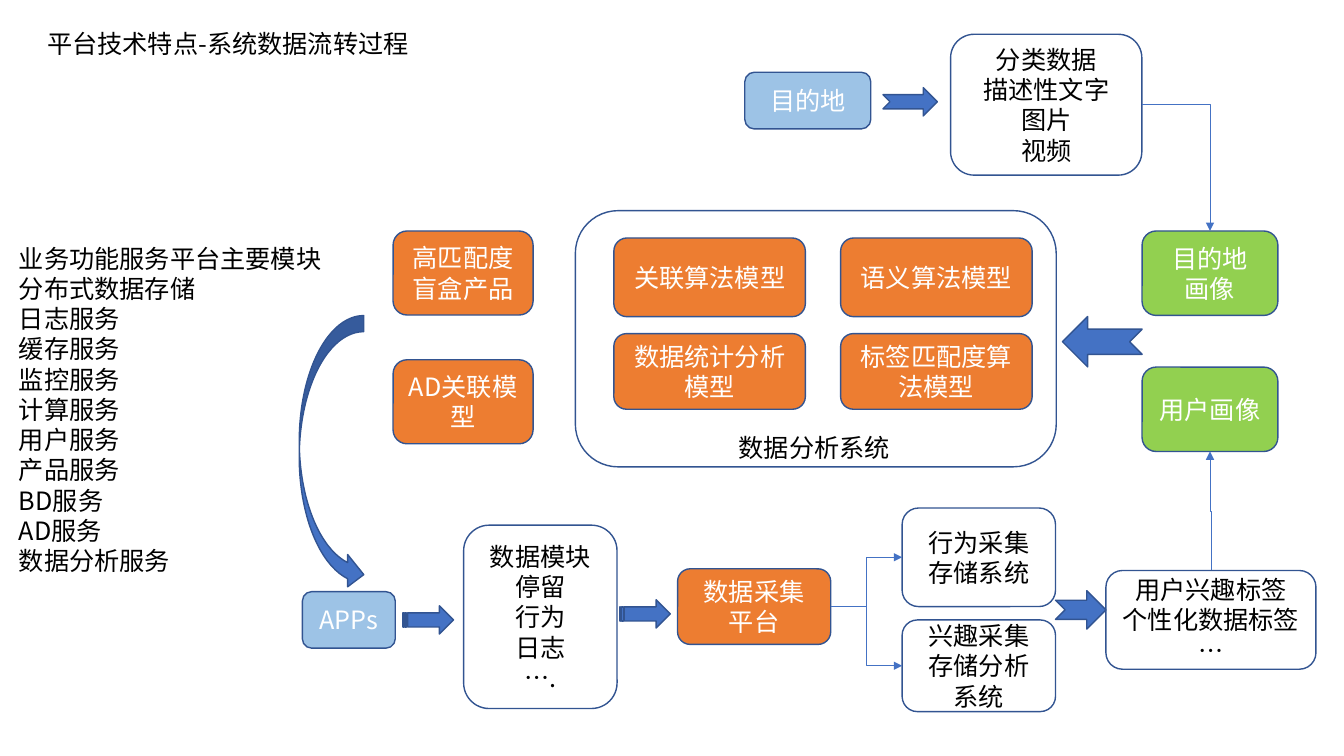
from pptx import Presentation
from pptx.dml.color import RGBColor
from pptx.enum import shapes as sh, text as tx
from pptx.oxml import ns, xmlchemy as xc
from pptx.util import Pt

HUE = {"sky": "9DC3E6", "orange": "ED7D31", "green": "92D050",
       "blue": "4472C4", "edge": "325491", "white": "FFFFFF", "black": "000000"}
FONT = "Noto Sans CJK SC"
SIZE = 18

# Plain text: words, left, top, width, height
NOTES = [
    ("平台技术特点-系统数据流转过程", 26.6, 16.6, 279.4, 29),
    ("业务功能服务平台主要模块\n分布式数据存储\n日志服务\n缓存服务\n监控服务\n计算服务\n"
     "用户服务\n产品服务\nBD服务\nAD服务\n数据分析服务", 6.5, 170, 232.6, 247),
    ("数据分析系统", 520.6, 305.3, 123.8, 29),
]

# Boxes: name -> words, fill, left, top, width, height
BOXES = {
    "system": ("", None, 411, 150.5, 343.5, 183),
    "apps": ("APPs", "sky", 216, 422.6, 66.4, 40.4),
    "data": ("数据模块\n停留\n行为\n日志\n….", None, 331.2, 375.1, 109.6, 131),
    "collect": ("数据采集平台", "orange", 484, 406.3, 109.4, 54),
    "action": ("行为采集存储系统", None, 644.4, 362.9, 109.6, 70.4),
    "taste": ("兴趣采集存储分析系统", None, 644.4, 442.8, 109.6, 65.5),
    "tags": ("用户兴趣标签\n个性化数据标签\n…", None, 790, 407.5, 150, 70.5),
    "place": ("目的地", "sky", 532, 51.6, 90, 40.5),
    "media": ("分类数据\n描述性文字\n图片\n视频", None, 679, 24.5, 136.6, 100.6),
}

# Model grid: rows share a top and a height
MODELS = [(170, 56.2, ["关联算法模型", "语义算法模型"]),
          (238.3, 54, ["数据统计分析模型", "标签匹配度算法模型"])]
MODEL_X, MODEL_STEP, MODEL_W = 438.5, 162, 136.8

# Stacks: left, top, step, width, height, fill, items
STACKS = [
    (280.8, 165, 92, 100, 60, "orange",
     [("match", "高匹配度盲盒产品"), ("advert", "AD关联模型")]),
    (815.8, 165, 97.2, 97, 60.3, "green",
     [("spot", "目的地\n画像"), ("user", "用户画像")]),
]

# Block arrows: preset, left, top, width, height, turn
ARROWS = [
    ("STRIPED_RIGHT_ARROW", 288, 432.7, 36, 20.2, 0),
    ("STRIPED_RIGHT_ARROW", 442.8, 428.4, 36, 20.2, 0),
    ("NOTCHED_RIGHT_ARROW", 754, 421.9, 36, 27.4, 0),
    ("NOTCHED_RIGHT_ARROW", 630.7, 62.6, 38.9, 20.2, 0),
    ("NOTCHED_RIGHT_ARROW", 758.9, 226.1, 56.9, 36, 180),
    ("CURVED_RIGHT_ARROW", 213.8, 225.4, 46.1, 196.6, 0),
]

# Elbow links: start, side, end, side (0 top, 1 left, 2 bottom, 3 right)
LINKS = [("collect", 3, "action", 1), ("collect", 3, "taste", 1),
         ("media", 3, "spot", 0), ("tags", 0, "user", 2)]

deck = Presentation()
deck.slide_width, deck.slide_height = Pt(960), Pt(540)
page = deck.slides.add_slide(deck.slide_layouts[6])


def rgb(name):
    return RGBColor.from_string(HUE[name])


def write(frame, words, hue="black", align="LEFT", anchor="TOP"):
    frame.word_wrap = True
    frame.vertical_anchor = getattr(tx.MSO_ANCHOR, anchor)
    frame.text = words
    for par in frame.paragraphs:
        par.alignment = getattr(tx.PP_ALIGN, align)
        for run in par.runs:
            run.font.size, run.font.name = Pt(SIZE), FONT
            run.font.color.rgb = rgb(hue)
            east = xc.OxmlElement("a:ea")
            east.set("typeface", FONT)
            run.font._element.find(ns.qn("a:latin")).addnext(east)


def draw(kind, rect, fill=None):
    item = page.shapes.add_shape(getattr(sh.MSO_SHAPE, kind), *map(Pt, rect))
    item.shadow.inherit = False
    if fill:
        item.fill.solid()
        item.fill.fore_color.rgb = rgb(fill)
    else:
        item.fill.background()
    item.line.color.rgb, item.line.width = rgb("edge"), Pt(1)
    return item


def box(words, fill, *rect):
    item = draw("ROUNDED_RECTANGLE", rect, fill)
    if words:
        write(item.text_frame, words, hue="white" if fill else "black",
              align="CENTER", anchor="MIDDLE")
    return item


def link(start, out, end, into):
    line = page.shapes.add_connector(sh.MSO_CONNECTOR.ELBOW, 0, 0, 0, 0)
    line.begin_connect(start, out)
    line.end_connect(end, into)
    line.line.color.rgb, line.line.width = rgb("blue"), Pt(0.5)
    props = line._element.spPr
    props.append(xc.OxmlElement("a:effectLst"))
    tip = xc.OxmlElement("a:tailEnd")
    tip.set("type", "triangle")
    props.find(ns.qn("a:ln")).append(tip)
    if out == 3 and into == 0:  # a single corner
        props.find(ns.qn("a:prstGeom")).set("prst", "bentConnector2")
    if out == 0:  # upward link: the frame lies on its side
        wide, tall = line.width, line.height
        line.left += (wide - tall) // 2
        line.top += (tall - wide) // 2
        line.width, line.height = tall, wide
        frame = props.find(ns.qn("a:xfrm"))
        frame.attrib.pop("flipH", None)
        frame.set("flipV", "1")
        frame.set("rot", "16200000")


# Boxes
made = {name: box(*spec) for name, spec in BOXES.items()}
for top, high, row in MODELS:
    for col, words in enumerate(row):
        box(words, "orange", MODEL_X + col * MODEL_STEP, top, MODEL_W, high)
for left, top, step, wide, high, fill, items in STACKS:
    for i, (name, words) in enumerate(items):
        made[name] = box(words, fill, left, top + i * step, wide, high)

# Plain text
for words, *rect in NOTES:
    write(page.shapes.add_textbox(*map(Pt, rect)).text_frame, words)

# Arrows and links
for kind, *rect, turn in ARROWS:
    draw(kind, rect, "blue").rotation = turn
for start, out, end, into in LINKS:
    link(made[start], out, made[end], into)

deck.save("out.pptx")
